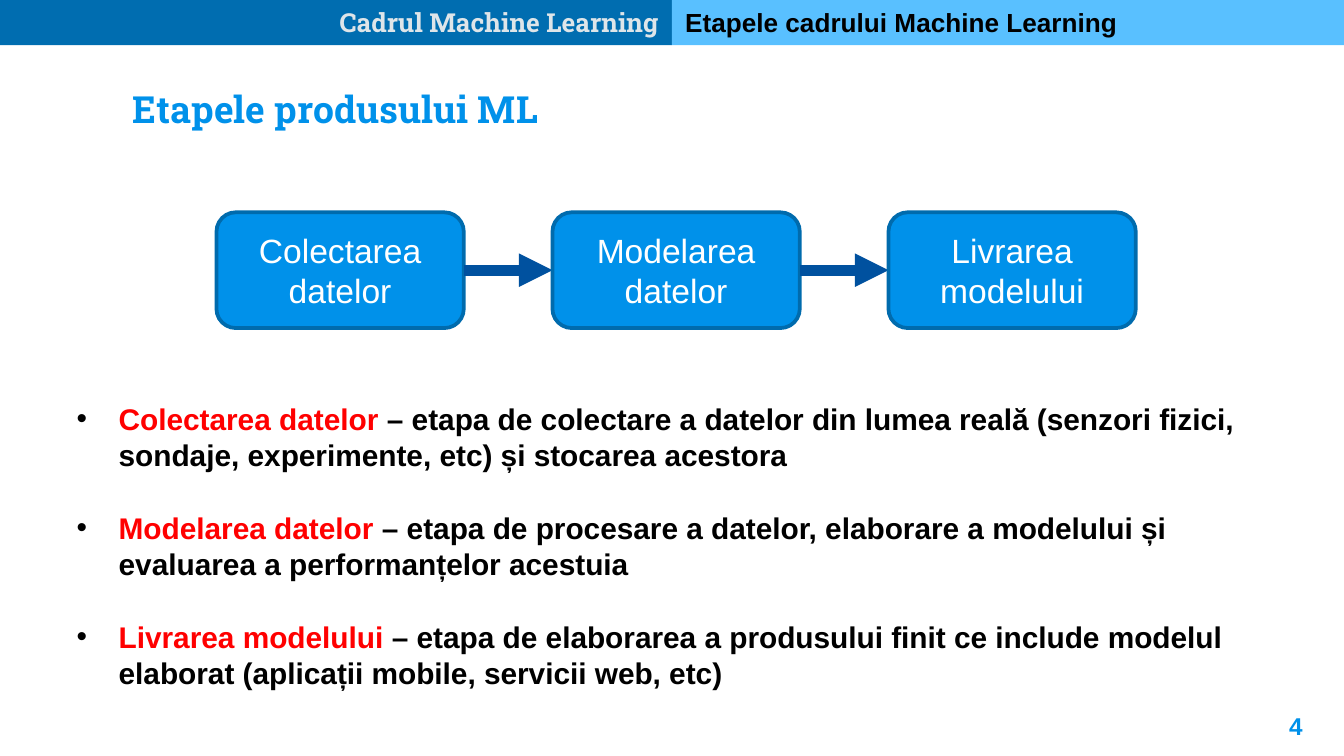
from dataclasses import dataclass
from lxml.etree import SubElement
from pptx import Presentation
from pptx.dml.color import RGBColor
from pptx.enum.shapes import MSO_CONNECTOR, MSO_SHAPE
from pptx.enum.text import MSO_ANCHOR, PP_ALIGN
from pptx.oxml.ns import qn
from pptx.shapes.autoshape import Shape
from pptx.slide import Slide
from pptx.text.text import _Run
from pptx.util import Pt

BLUE, BLACK, WHITE = "0091EA", "000000", "FFFFFF"


@dataclass
class Style:
    size: float
    color: str
    font: str = "Arial"
    bold: bool = True


@dataclass
class Box:
    left: float
    top: float
    width: float
    height: float


@dataclass
class Banner:
    text: str
    left: float
    fill: str
    style: Style
    align: PP_ALIGN


@dataclass
class Stage:
    name: str
    description: str


def rgb(color: str) -> RGBColor:
    return RGBColor.from_string(color)


def format_run(run: _Run, style: Style) -> None:
    run.font.size = Pt(style.size)
    run.font.name = style.font
    run.font.bold = style.bold
    run.font.color.rgb = rgb(style.color)


def write(shape: Shape, text: str, style: Style, align: PP_ALIGN,
          anchor: MSO_ANCHOR = MSO_ANCHOR.TOP, wrap: bool = True) -> None:
    text_frame = shape.text_frame
    text_frame.text = text
    text_frame.word_wrap = wrap
    text_frame.vertical_anchor = anchor
    paragraph = text_frame.paragraphs[0]
    paragraph.alignment = align
    format_run(paragraph.runs[0], style)


def add_text_box(slide: Slide, box: Box) -> Shape:
    return slide.shapes.add_textbox(
        Pt(box.left), Pt(box.top), Pt(box.width), Pt(box.height))


def add_filled_shape(slide: Slide, kind: MSO_SHAPE, box: Box, fill: str) -> Shape:
    shape = slide.shapes.add_shape(
        kind, Pt(box.left), Pt(box.top), Pt(box.width), Pt(box.height))
    shape.shadow.inherit = False
    shape.fill.solid()
    shape.fill.fore_color.rgb = rgb(fill)
    shape.line.fill.background()
    return shape


def add_banner(slide: Slide, banner: Banner) -> None:
    box = Box(banner.left, 0, 360, 24.2)
    shape = add_filled_shape(slide, MSO_SHAPE.RECTANGLE, box, banner.fill)
    write(shape, banner.text, banner.style, banner.align)


def add_stage_box(slide: Slide, name: str, box: Box) -> None:
    shape = add_filled_shape(slide, MSO_SHAPE.ROUNDED_RECTANGLE, box, BLUE)
    shape.line.color.rgb = rgb("006BAD")
    shape.line.width = Pt(2)
    write(shape, name, Style(18, WHITE, bold=False), PP_ALIGN.CENTER, MSO_ANCHOR.MIDDLE)


def add_arrow(slide: Slide, start: float, end: float, y: float) -> None:
    connector = slide.shapes.add_connector(
        MSO_CONNECTOR.STRAIGHT, Pt(start), Pt(y), Pt(end), Pt(y))
    connector.line.color.rgb = rgb("00519F")
    connector.line.width = Pt(6)
    SubElement(connector.line._get_or_add_ln(), qn("a:tailEnd"), type="triangle")
    SubElement(connector._element.spPr, qn("a:effectLst"))


def add_description(slide: Slide, stage: Stage, box: Box) -> None:
    text_frame = add_text_box(slide, box).text_frame
    text_frame.word_wrap = True
    paragraph = text_frame.paragraphs[0]
    properties = paragraph._p.get_or_add_pPr()
    properties.set("marL", str(Pt(22.5)))
    properties.set("indent", str(-Pt(22.5)))
    bullet_color = SubElement(properties, qn("a:buClr"))
    SubElement(bullet_color, qn("a:srgbClr"), val=BLACK)
    SubElement(properties, qn("a:buFont"), typeface="Arial")
    SubElement(properties, qn("a:buChar"), char="•")
    for text, color in ((f"{stage.name} ", "FF0000"), (f"– {stage.description}", BLACK)):
        run = paragraph.add_run()
        run.text = text
        format_run(run, Style(16, color))


def main() -> None:
    presentation = Presentation()
    presentation.slide_width, presentation.slide_height = Pt(720), Pt(405)
    slide = presentation.slides.add_slide(presentation.slide_layouts[6])

    # Header band
    banners = [
        Banner("Cadrul Machine Learning", 0, "006DB0",
               Style(14, "DEE5E9", "Roboto Slab"), PP_ALIGN.RIGHT),
        Banner("Etapele cadrului Machine Learning", 360, "59C0FF",
               Style(14, BLACK), PP_ALIGN.LEFT),
    ]
    for banner in banners:
        add_banner(slide, banner)

    # Title
    title = add_text_box(slide, Box(64, 42.5, 232.5, 31.5))
    write(title, "Etapele produsului ML", Style(20, BLUE, "Roboto Slab"),
          PP_ALIGN.JUSTIFY, wrap=False)

    # Process flow and the description of each stage
    stages = [
        Stage("Colectarea datelor",
              "etapa de colectare a datelor din lumea reală (senzori fizici, "
              "sondaje, experimente, etc) și stocarea acestora"),
        Stage("Modelarea datelor",
              "etapa de procesare a datelor, elaborare a modelului și "
              "evaluarea a performanțelor acestuia"),
        Stage("Livrarea modelului",
              "etapa de elaborarea a produsului finit ce include modelul "
              "elaborat (aplicații mobile, servicii web, etc)"),
    ]
    pitch, width, top, height = 180, 132.5, 113.75, 62
    for index, stage in enumerate(stages):
        left = 116 + index * pitch
        add_stage_box(slide, stage.name, Box(left, top, width, height))
        if index < len(stages) - 1:
            add_arrow(slide, left + width, left + pitch, top + height / 2)
        add_description(slide, stage, Box(34, 211 + index * 58.4, 641, 46))

    # Slide number
    number = add_text_box(slide, Box(661.7, 373.7, 43.2, 31))
    write(number, "4", Style(13, BLUE), PP_ALIGN.RIGHT)
    text_frame = number.text_frame
    text_frame.margin_top = text_frame.margin_bottom = Pt(7.2)

    presentation.save("out.pptx")


if __name__ == "__main__":
    main()
